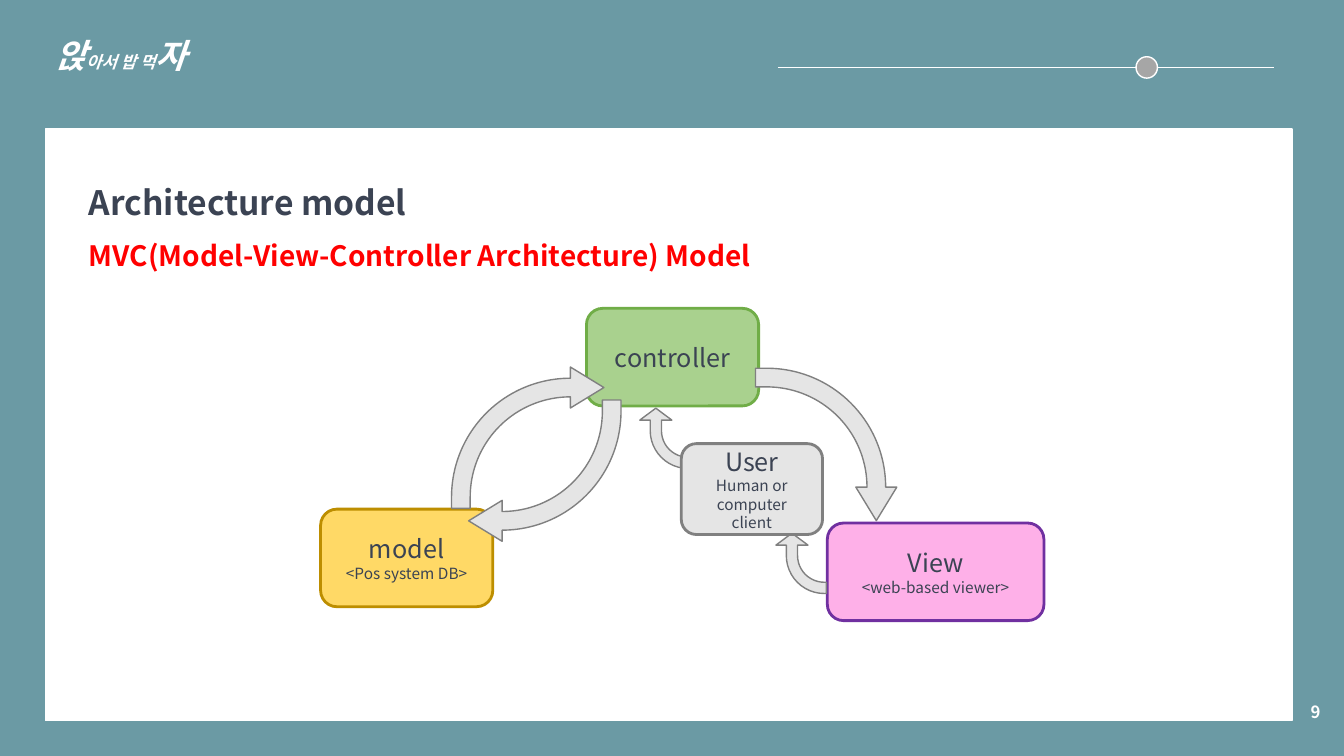
from lxml.etree import SubElement
from pptx import Presentation
from pptx.dml.color import RGBColor
from pptx.enum.shapes import MSO_CONNECTOR, MSO_SHAPE
from pptx.enum.text import MSO_ANCHOR as Anchor, PP_ALIGN as Align
from pptx.oxml.ns import qn
from pptx.util import Cm, Pt

FONT = "Noto Sans CJK KR"
COLORS = {
    "teal": "6B9AA4", "white": "FFFFFF", "knob": "A6A6A6", "ink": "3B4353",
    "red": "FF0000", "gray": "E5E5E5", "gray_line": "808080",
    "yellow": "FFD966", "yellow_line": "BD8E00",
    "green": "A9D18E", "green_line": "70AD47",
    "pink": "FEB0E8", "purple": "7030A0",
}

# Every paragraph is a list of (text, size) runs; all lengths are in cm.
TITLE = [[("Architecture model", 24)]]
SUBTITLE = [[("MVC(Model-View-Controller Architecture) Model", 20)]]
TEAM = [[("앉", 24), ("아서 밥 먹", 12), ("자", 24)]]
PAGE = [[("9", 12)]]

BOX_HEIGHT = 2.46
COMPONENTS = [  # name, note, (left, top, width, height), fill, line
    ("model", "<Pos system DB>", (8.08, 12.83, 4.34, BOX_HEIGHT), "yellow", "yellow_line"),
    ("controller", None, (14.78, 7.77, 4.34, BOX_HEIGHT), "green", "green_line"),
    ("View", "<web-based viewer>", (20.85, 13.18, 5.46, BOX_HEIGHT), "pink", "purple"),
]
USER = ("User", "Human or computer client", (17.17, 11.18, 3.56, 2.29), "gray", "gray_line")

LARGE = ((3.84, 3.56), (0.132, 0.145, 0.237, 0.844))
SMALL = ((1.52, 1.27), (0.223, 0.318, 0.237, 0.753))
ARROWS = [  # left, top, rotation, (size, adjustments)
    (11.38, 9.25, 0, LARGE),     # model to controller
    (18.9, 9.42, 90, LARGE),     # controller to View
    (11.81, 10.08, 180, LARGE),  # controller to model
    (19.43, 13.56, 270, SMALL),  # View to User
    (16.0, 10.41, 270, SMALL),   # User to controller
]


def rgb(name):
    return RGBColor.from_string(COLORS[name])


def write(frame, paragraphs, color="ink", bold=False, italic=False,
          align=Align.LEFT, anchor=Anchor.MIDDLE):
    frame.word_wrap = True
    frame.vertical_anchor = anchor
    for index, runs in enumerate(paragraphs):
        paragraph = frame.add_paragraph() if index else frame.paragraphs[0]
        paragraph.alignment = align
        for text, size in runs:
            run = paragraph.add_run()
            run.text = text
            font = run.font
            font.size, font.bold, font.italic = Pt(size), bold, italic
            font.color.rgb = rgb(color)
            font.name = FONT
            SubElement(run._r.get_or_add_rPr(), qn("a:ea"), typeface=FONT)


def remove_insets(frame):
    frame.margin_left = frame.margin_right = frame.margin_top = frame.margin_bottom = 0


def add_shape(slide, kind, box, fill, line, line_width=1):
    shape = slide.shapes.add_shape(kind, *map(Cm, box))
    shape.shadow.inherit = False
    shape.fill.solid()
    shape.fill.fore_color.rgb = rgb(fill)
    shape.line.color.rgb = rgb(line)
    shape.line.width = Pt(line_width)
    return shape


def add_text(slide, box):
    return slide.shapes.add_textbox(*map(Cm, box)).text_frame


def add_component(slide, name, note, box, fill, line):
    component = add_shape(slide, MSO_SHAPE.ROUNDED_RECTANGLE, box, fill, line, 2)
    paragraphs = [[(name, 18)]] + ([[(note, 11)]] if note else [])
    write(component.text_frame, paragraphs, align=Align.CENTER)


def add_header(slide):
    rule = slide.shapes.add_connector(
        MSO_CONNECTOR.STRAIGHT, Cm(19.6), Cm(1.7), Cm(32.11), Cm(1.7))
    rule.line.color.rgb = rgb("white")
    rule.line.width = Pt(0.5)
    SubElement(rule._element.spPr, qn("a:effectLst"))
    add_shape(slide, MSO_SHAPE.OVAL, (28.63, 1.43, 0.54, 0.54), "knob", "white")
    team = add_text(slide, (1.14, 0.25, 11.76, 1.6))
    write(team, TEAM, "white", bold=True, italic=True, anchor=Anchor.TOP)
    team.paragraphs[0].line_spacing = 1.5


def add_headings(slide):
    title = slide.shapes.title
    title.left, title.top, title.width, title.height = map(Cm, (2.24, 4.46, 28, 1.24))
    remove_insets(title.text_frame)
    write(title.text_frame, TITLE, bold=True)
    # Bring the title in front of the white panel.
    title.element.getparent().append(title.element)
    subtitle = add_text(slide, (2.24, 5.91, 28, 1.04))
    remove_insets(subtitle)
    write(subtitle, SUBTITLE, "red", bold=True)


def add_diagram(slide):
    for component in COMPONENTS:
        add_component(slide, *component)
    for left, top, rotation, (size, adjustments) in ARROWS:
        arrow = add_shape(slide, MSO_SHAPE.BENT_ARROW, (left, top, *size), "gray", "gray_line")
        arrow.rotation = rotation
        for index, value in enumerate(adjustments):
            arrow.adjustments[index] = value
    add_component(slide, *USER)


def main():
    prs = Presentation()
    prs.slide_width, prs.slide_height = Cm(33.87), Cm(19.05)
    slide = prs.slides.add_slide(prs.slide_layouts[5])
    slide.background.fill.solid()
    slide.background.fill.fore_color.rgb = rgb("teal")

    add_header(slide)
    add_shape(slide, MSO_SHAPE.RECTANGLE, (1.14, 3.25, 31.42, 14.91), "white", "white")
    add_headings(slide)
    write(add_text(slide, (25.91, 17.42, 7.62, 1.02)), PAGE, "white",
          bold=True, align=Align.RIGHT)
    add_diagram(slide)
    prs.save("out.pptx")


if __name__ == "__main__":
    main()
